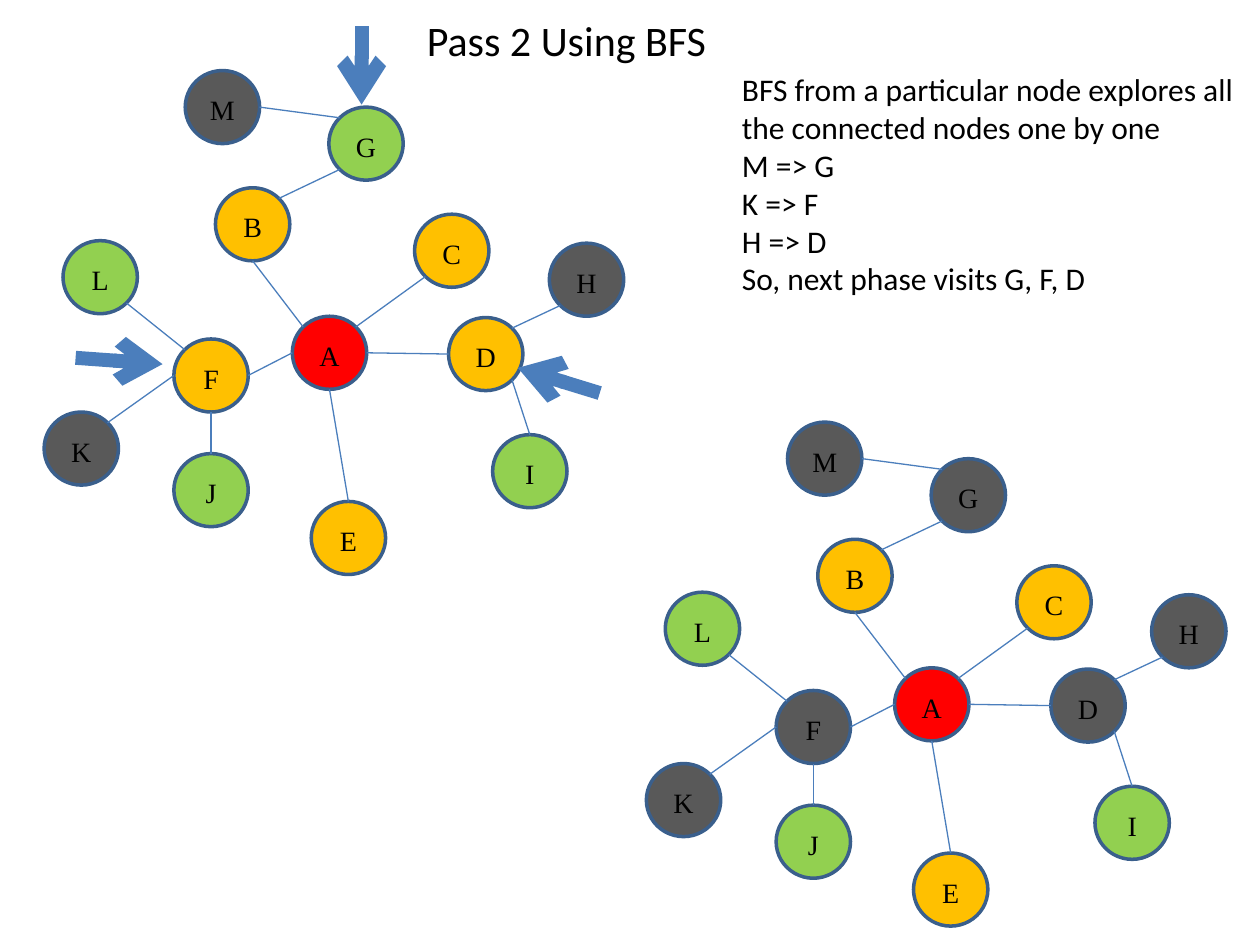
"""Build a slide that shows the second pass of a breadth-first search on a graph."""
from dataclasses import dataclass
from math import cos, radians, sin

from lxml import etree
from pptx import Presentation
from pptx import util as u
from pptx.dml.color import RGBColor
from pptx.enum import shapes, text
from pptx.oxml import ns


@dataclass(frozen=True)
class Theme:
    root: str = "FF0000"
    first: str = "FFC000"
    second: str = "92D050"
    visited: str = "595959"
    outline: str = "3A5F8C"
    link: str = "4B7EBC"
    ink: str = "000000"
    body_font: str = "Calibri"
    node_font: str = "Times New Roman"
    title_size: int = 24
    body_size: int = 18
    node_size: int = 16
    outline_width: float = 2
    link_width: float = 0.75
    pointer_width: float = 8


NODE_W, NODE_H = 0.59, 0.58
TOP, TOP_LEFT, LEFT, BOTTOM_LEFT, BOTTOM, BOTTOM_RIGHT, RIGHT, TOP_RIGHT = range(8)

NODES = {
    "L": (0.5, 1.91, "second"), "K": (0.35, 3.27, "visited"),
    "F": (1.38, 2.69, "first"), "B": (1.71, 1.49, "first"),
    "J": (1.38, 3.6, "second"), "A": (2.32, 2.51, "root"),
    "D": (3.56, 2.52, "first"), "G": (2.61, 0.85, "second"),
    "E": (2.47, 3.98, "first"), "I": (3.91, 3.45, "second"),
    "C": (3.29, 1.7, "first"), "H": (4.36, 1.93, "visited"),
    "M": (1.47, 0.56, "visited"),
}
EDGES = [
    ("A", TOP_LEFT, "B", BOTTOM), ("A", TOP_RIGHT, "C", BOTTOM_LEFT),
    ("A", LEFT, "F", RIGHT), ("A", BOTTOM, "E", TOP),
    ("A", RIGHT, "D", LEFT), ("D", BOTTOM_RIGHT, "I", TOP),
    ("F", BOTTOM, "J", TOP), ("F", LEFT, "K", TOP_RIGHT),
    ("F", TOP_LEFT, "L", BOTTOM_RIGHT), ("B", TOP_RIGHT, "G", BOTTOM_LEFT),
    ("D", TOP_RIGHT, "H", BOTTOM_LEFT), ("M", RIGHT, "G", TOP_LEFT),
]
POINTERS = [
    ((4.76, 3.12), (4.11, 2.92)),
    ((0.6, 2.84), (1.29, 2.89)),
    ((2.87, 0.21), (2.87, 0.83)),
]
FINDINGS = [
    "BFS from a particular node explores all the connected nodes one by one",
    "M => G",
    "K => F",
    "H => D",
    "So, next phase visits G, F, D",
]


def apply(target, values):
    for name, value in values.items():
        setattr(target, name, value)


class Board:
    def __init__(self, slide, theme):
        self.slide = slide
        self.theme = theme

    def fill_text(self, frame, lines, size, font, layout):
        for index, line in enumerate(lines):
            paragraph = frame.paragraphs[0] if index == 0 else frame.add_paragraph()
            apply(paragraph, layout)
            run = paragraph.add_run()
            run.text = line
            apply(run.font, {"size": u.Pt(size), "name": font})
            run.font.color.rgb = RGBColor.from_string(self.theme.ink)

    def text(self, box, lines, size, align):
        frame = self.slide.shapes.add_textbox(*map(u.Inches, box)).text_frame
        apply(frame, {"word_wrap": True, "auto_size": text.MSO_AUTO_SIZE.SHAPE_TO_FIT_TEXT})
        self.fill_text(frame, lines, size, self.theme.body_font, {"alignment": align})

    def node(self, parent, letter, left, top, color):
        circle = parent.add_shape(
            shapes.MSO_SHAPE.OVAL, *map(u.Inches, (left, top, NODE_W, NODE_H)))
        circle.shadow.inherit = False
        circle.fill.solid()
        circle.fill.fore_color.rgb = RGBColor.from_string(color)
        circle.line.color.rgb = RGBColor.from_string(self.theme.outline)
        circle.line.width = u.Pt(self.theme.outline_width)
        apply(circle.text_frame, {
            "vertical_anchor": text.MSO_ANCHOR.MIDDLE,
            "margin_left": u.Inches(0.08), "margin_right": u.Inches(0.08),
            "margin_top": u.Inches(0.04), "margin_bottom": u.Inches(0.04),
        })
        self.fill_text(circle.text_frame, [letter], self.theme.node_size, self.theme.node_font, {
            "alignment": text.PP_ALIGN.CENTER, "line_spacing": 1.15, "space_after": u.Pt(10)})
        return circle

    def line(self, parent, start, end, width):
        connector = parent.add_connector(shapes.MSO_CONNECTOR.STRAIGHT, *start, *end)
        connector.line.color.rgb = RGBColor.from_string(self.theme.link)
        connector.line.width = u.Pt(width)
        etree.SubElement(connector._element.spPr, ns.qn("a:effectLst"))
        return connector

    def pointer(self, start, end):
        ends = [tuple(map(u.Inches, point)) for point in (start, end)]
        arrow = self.line(self.slide.shapes, *ends, self.theme.pointer_width)
        etree.SubElement(arrow.line._get_or_add_ln(), ns.qn("a:tailEnd"), type="arrow")

    def edge(self, parent, source, source_site, target, target_site):
        connector = self.line(parent, site_point(source, source_site),
                              site_point(target, target_site), self.theme.link_width)
        links = connector._element.find(".//" + ns.qn("p:cNvCxnSpPr"))
        for tag, circle, site in (("a:stCxn", source, source_site),
                                  ("a:endCxn", target, target_site)):
            etree.SubElement(links, ns.qn(tag), id=str(circle.shape_id), idx=str(site))

    def graph(self, dx, dy, newly_visited=""):
        parent = self.slide.shapes.add_group_shape().shapes
        circles = {}
        for letter, (left, top, level) in NODES.items():
            state = "visited" if letter in newly_visited else level
            circles[letter] = self.node(
                parent, letter, left + dx, top + dy, getattr(self.theme, state))
        for source, source_site, target, target_site in EDGES:
            self.edge(parent, circles[source], source_site, circles[target], target_site)


def site_point(circle, site):
    angle = radians(90 + 45 * site)
    x = circle.left + circle.width / 2 * (1 + cos(angle))
    y = circle.top + circle.height / 2 * (1 - sin(angle))
    return round(x), round(y)


def main():
    deck = Presentation()
    apply(deck, {"slide_width": u.Inches(10), "slide_height": u.Inches(7.5)})
    theme = Theme()
    board = Board(deck.slides.add_slide(deck.slide_layouts[6]), theme)
    board.text((3.17, 0.07, 2.65, 0.5), ["Pass 2 Using BFS"],
               theme.title_size, text.PP_ALIGN.CENTER)
    board.graph(0, 0)
    for start, end in POINTERS:
        board.pointer(start, end)
    board.graph(4.78, 2.79, newly_visited="GFD")
    board.text((5.79, 0.51, 4.17, 1.92), FINDINGS, theme.body_size, text.PP_ALIGN.LEFT)
    deck.save("out.pptx")


main()
